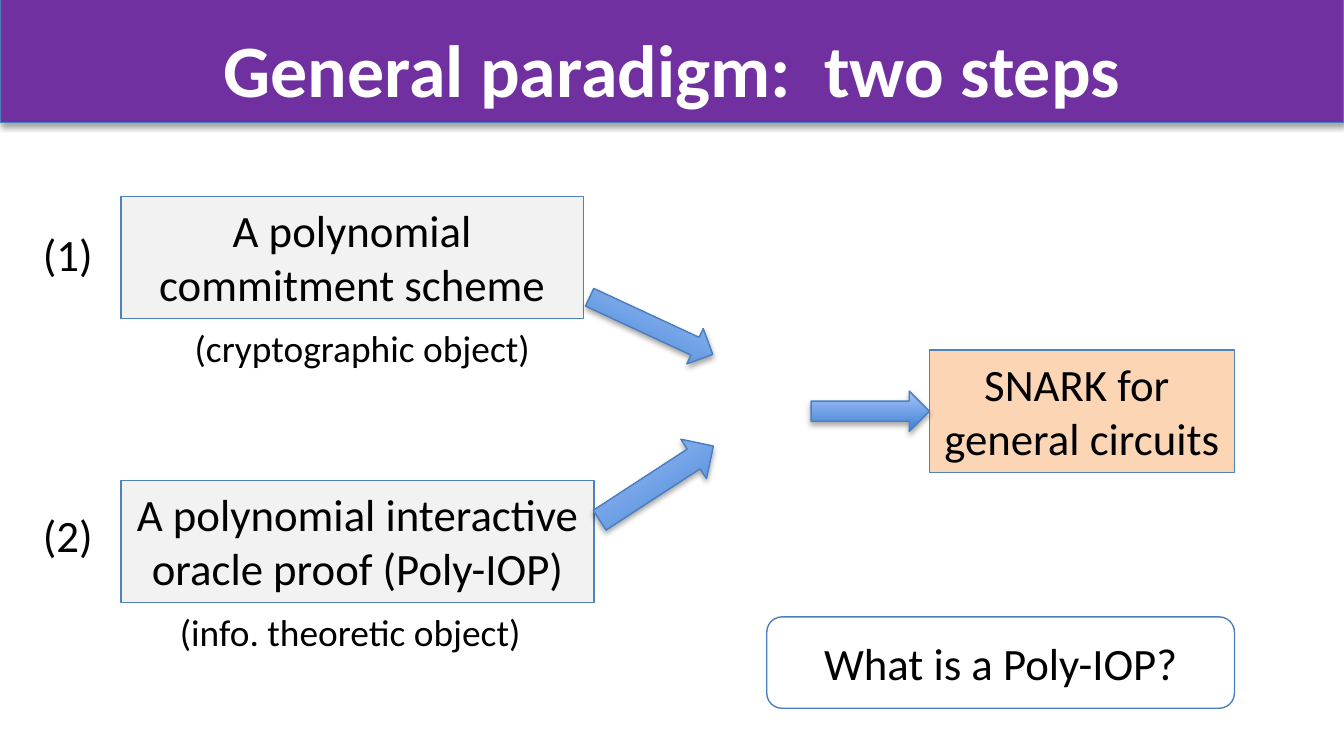
"""Build the slide on the two steps of the general paradigm."""
from lxml import etree
from pptx import Presentation
from pptx.dml.color import RGBColor
from pptx.enum.shapes import MSO_SHAPE
from pptx.enum.text import MSO_ANCHOR, PP_ALIGN
from pptx.oxml import parse_xml
from pptx.util import Inches, Pt

RECT, ROUND, ARROW = MSO_SHAPE.RECTANGLE, MSO_SHAPE.ROUNDED_RECTANGLE, MSO_SHAPE.RIGHT_ARROW
LEFT, CENTER = PP_ALIGN.LEFT, PP_ALIGN.CENTER
TOP, MIDDLE = MSO_ANCHOR.TOP, MSO_ANCHOR.MIDDLE
CELL = Inches(0.1)
COLS = 100
ROWS = COLS * 9 / 16
BLUE, EDGE, GRAY = "4F81BD", "4B7EBC", "F2F2F2"
SHADE = (
    '<a:effectLst xmlns:a="http://schemas.openxmlformats.org/drawingml/2006/main">'
    '<a:outerShdw blurRad="39370" dist="22860" dir="5400000" rotWithShape="0">'
    '<a:srgbClr val="000000"><a:alpha val="35000"/></a:srgbClr>'
    '</a:outerShdw></a:effectLst>'
)


def paint(color, value):
    color.rgb = RGBColor.from_string(value)


def write(shape, text, size, align=CENTER, anchor=TOP, wrap=False, tint="000000", bold=False):
    frame = shape.text_frame
    frame.text = text
    for key, value in {"word_wrap": wrap, "vertical_anchor": anchor}.items():
        setattr(frame, key, value)
    for para in frame.paragraphs:
        para.alignment = align
        for key, value in {"name": "Calibri", "size": Pt(size), "bold": bold}.items():
            setattr(para.font, key, value)
        paint(para.font.color, tint)


deck = Presentation()
deck.slide_width, deck.slide_height = int(COLS * CELL), int(ROWS * CELL)
slide = deck.slides.add_slide(deck.slide_layouts[5])
shapes = slide.shapes
title = shapes.title

boxes = [
    (RECT, (0, -0.1, COLS, 9.2), "7030A0", EDGE, None),
    (RECT, (9, 35.75, 35.2, 9.1), GRAY, BLUE, "A polynomial interactive\voracle proof (Poly-IOP)"),
    (RECT, (9, 14.6, 34.4, 9.1), GRAY, BLUE, "A polynomial\vcommitment scheme"),
    (RECT, (69.15, 26.05, 22.7, 9.1), "FCD5B5", BLUE, "SNARK for \vgeneral circuits"),
    (ROUND, (57.05, 45.9, 34.8, 6.8), None, EDGE, "What is a Poly-IOP?"),
]
for kind, area, fill, edge, text in boxes:
    box = shapes.add_shape(kind, *(int(n * CELL) for n in area))
    box.shadow.inherit = False
    box.line.width = Pt(0.75)
    paint(box.line.color, edge)
    if fill:
        box.fill.solid()
        paint(box.fill.fore_color, fill)
    else:
        box.fill.background()
    if text:
        write(box, text, 24, anchor=MIDDLE if kind == ROUND else TOP, wrap=kind == ROUND)
    else:
        props = box.element.spPr
        props.replace(props[-1], parse_xml(SHADE))
        box.element.addnext(title.element)

place = dict(zip(("left", "top", "width", "height"), (5, 1.4, 90, 6.8)))
for key, value in place.items():
    setattr(title, key, int(value * CELL))
write(title, "General paradigm:  two steps", 39.6, anchor=MIDDLE, tint="FFFFFF", bold=True)
title.text_frame.margin_bottom = 0

arrows = [
    ((60.35, 29.1, 8.8, 3), 0),
    ((43.4, 22.8, 10.1, 2.9), 24.9),
    ((43.8, 34.2, 10.1, 3.5), 326.9),
]
for area, turn in arrows:
    arrow = shapes.add_shape(ARROW, *(int(n * CELL) for n in area))
    arrow.rotation = turn
    arrow.line.width = Pt(0.75)
    paint(arrow.line.color, EDGE)
    arrow.fill.gradient()
    arrow.fill.gradient_angle = 90
    for stop, tone in zip(arrow.fill.gradient_stops, ("3F80CE", "A4C4FF")):
        paint(stop.color, tone)
    arrow.element.spPr.append(etree.fromstring(SHADE))

labels = [
    ("(1)", (2.2, 16.4, 5.8, 5), 24),
    ("(2)", (2.2, 37.3, 5.8, 5), 24),
    ("(info. theoretic object)", (12.4, 44.85, 27.6, 4.4), 20),
    ("(cryptographic object)", (13.5, 23.7, 27.2, 4.4), 20),
]
for text, area, size in labels:
    label = shapes.add_textbox(*(int(n * CELL) for n in area))
    write(label, text, size, align=LEFT)

deck.save("out.pptx")
